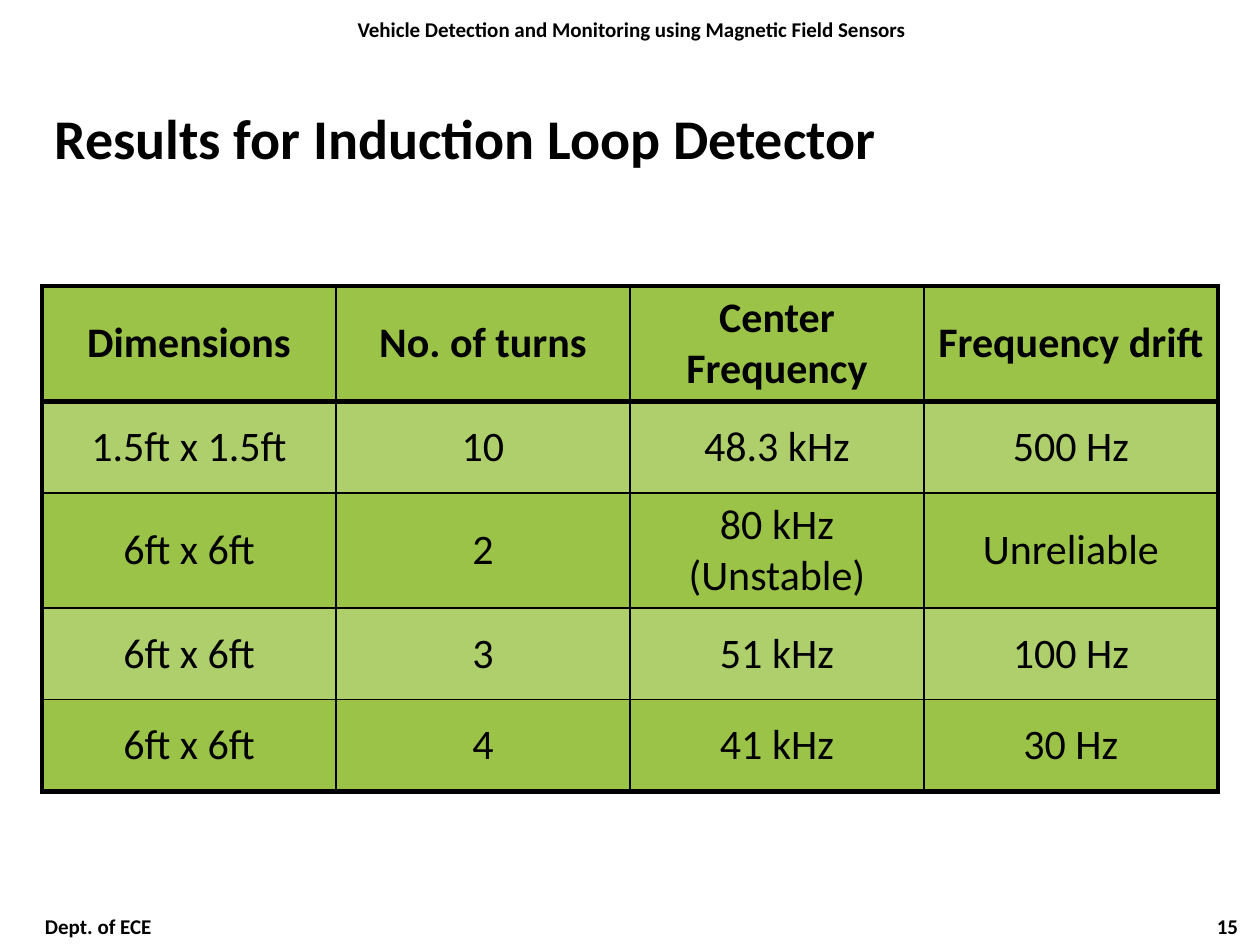
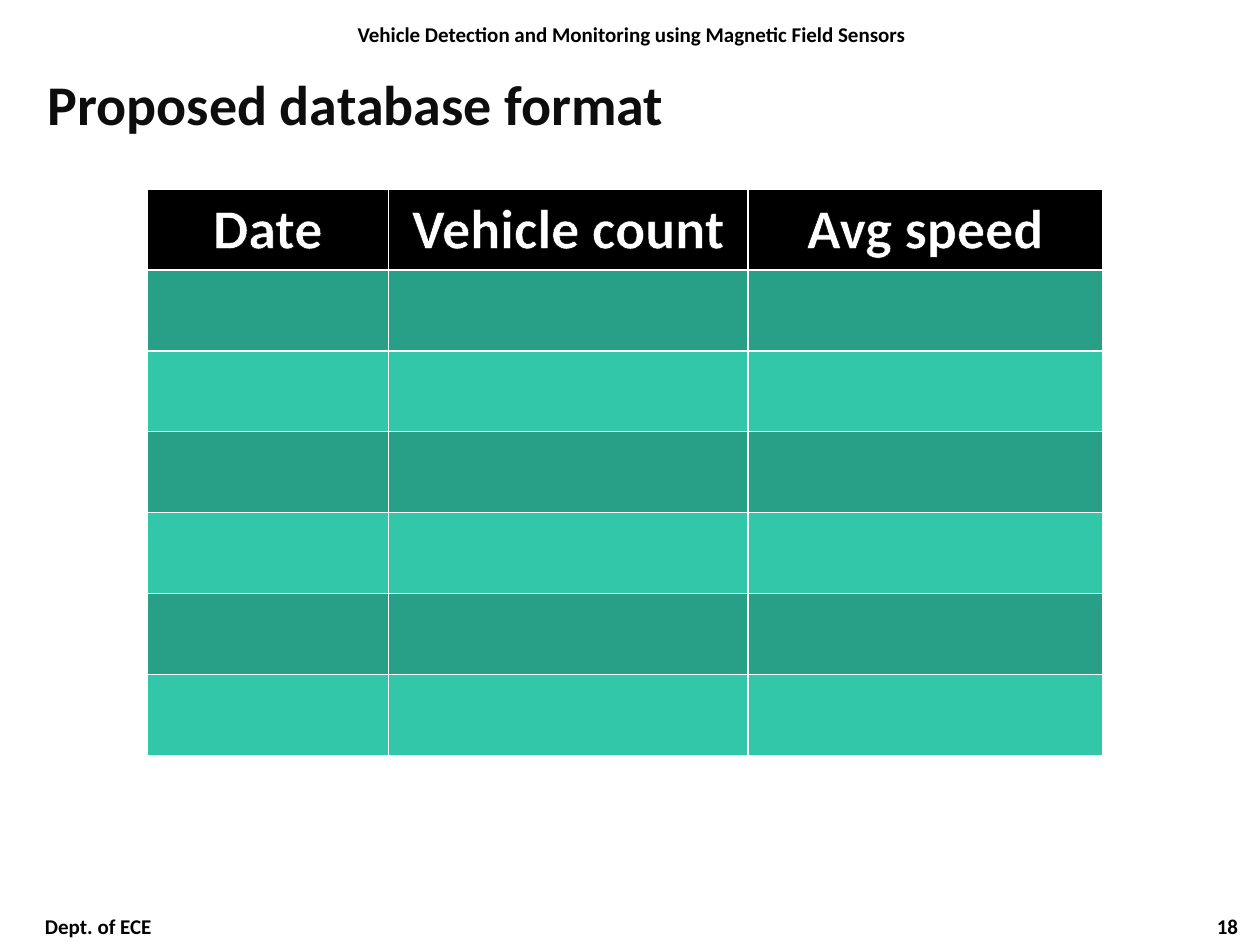
from dataclasses import dataclass

from lxml.etree import SubElement
from pptx import Presentation
from pptx.dml.color import RGBColor
from pptx.enum.text import MSO_ANCHOR, PP_ALIGN
from pptx.oxml.ns import qn
from pptx.util import Pt


@dataclass(frozen=True)
class Theme:
    """Colours, font and type sizes of the deck."""
    font: str = "Calibri"
    black: str = "000000"
    near_black: str = "0D0D0D"
    white: str = "FFFFFF"
    green: str = "9BC348"
    light_green: str = "AFCF6D"
    teal: str = "289F87"
    light_teal: str = "32C7A9"
    title: int = 32
    cell: int = 24
    small: int = 12
    thin: int = 1
    thick: int = 3


T = Theme()
WIDTH, HEIGHT = 720, 540
RUNNING_TITLE = "Vehicle Detection and Monitoring using Magnetic Field Sensors"
DEPARTMENT = "Dept. of ECE"


def add_run(p, text, size, color, bold=True):
    """Add one styled run to a paragraph."""
    r = p.add_run()
    r.text = text
    r.font.name, r.font.size, r.font.bold = T.font, Pt(size), bold
    r.font.color.rgb = RGBColor.from_string(color)
    return r


def add_line(parent, tag, color, width):
    """Append a solid line element to a run's or cell's properties."""
    ln = SubElement(parent, qn(tag), w=str(Pt(width)))
    fill = SubElement(ln, qn("a:solidFill"))
    SubElement(fill, qn("a:srgbClr"), val=color)
    return ln


def add_label(s, box, text, size, color=T.black, align=PP_ALIGN.LEFT,
              anchor=MSO_ANCHOR.TOP):
    """Place a one-paragraph bold text box and return its text frame."""
    tf = s.shapes.add_textbox(*map(Pt, box)).text_frame
    tf.word_wrap, tf.vertical_anchor = True, anchor
    p = tf.paragraphs[0]
    p.alignment = align
    add_run(p, text, size, color)
    return tf


def add_footer(s, box, number):
    """Place the department at the left and the page number at a right tab."""
    tf = add_label(s, box, f"{DEPARTMENT}\t{number}", T.small,
                   anchor=MSO_ANCHOR.BOTTOM)
    inset = 25.75
    tf.margin_left = Pt(inset)
    tabs = SubElement(tf.paragraphs[0]._p.get_or_add_pPr(), qn("a:tabLst"))
    SubElement(tabs, qn("a:tab"), pos=str(Pt(box[2] - 12.5 - inset)), algn="r")


def add_frame(prs, number, header_top, title, title_box, title_color):
    """Add a slide with its running header, title and footer."""
    s = prs.slides.add_slide(prs.slide_layouts[6])
    add_label(s, title_box, title, T.title, title_color)
    add_footer(s, (0, 511, WIDTH, 29), number)
    add_label(s, (193, header_top, 336, 29), RUNNING_TITLE, T.small,
              align=PP_ALIGN.CENTER)
    return s


def add_grid(s, left, top, widths, heights):
    """Add a table with the given column widths and row heights."""
    tbl = s.shapes.add_table(len(heights), len(widths), Pt(left), Pt(top),
                             Pt(sum(widths)), Pt(sum(heights))).table
    tbl.horz_banding = False
    for col, w in zip(tbl.columns, widths):
        col.width = Pt(w)
    for row, h in zip(tbl.rows, heights):
        row.height = Pt(h)
    return tbl


def style_cell(cell, fill, line, left=T.thin, right=T.thin, top=T.thin, bottom=T.thin):
    """Give a cell its borders, fill and centred layout."""
    tcPr = cell._tc.get_or_add_tcPr()
    for side, width in zip("LRTB", (left, right, top, bottom)):
        add_line(tcPr, f"a:ln{side}", line, width)
    cell.fill.solid()
    cell.fill.fore_color.rgb = RGBColor.from_string(fill)
    cell.vertical_anchor = MSO_ANCHOR.MIDDLE
    cell.text_frame.paragraphs[0].alignment = PP_ALIGN.CENTER


def add_results_table(s, left, top, rows):
    """Place the boxed green table, with heavy outer and header lines."""
    one_line, two_lines = 52.4, 65.8
    heights = [two_lines, one_line, two_lines, one_line, one_line]
    tbl = add_grid(s, left, top, [168] * 4, heights)
    last_row, last_col = len(rows) - 1, len(rows[0]) - 1

    def weight(heavy):
        return T.thick if heavy else T.thin

    for i, row in enumerate(rows):
        for j, text in enumerate(row):
            cell = tbl.cell(i, j)
            style_cell(cell, T.light_green if i % 2 else T.green, T.black,
                       left=weight(j == 0), right=weight(j == last_col),
                       top=weight(i <= 1), bottom=weight(i in (0, last_row)))
            add_run(cell.text_frame.paragraphs[0], text, T.cell, T.black, i == 0)


def add_database_table(s, left, top, headings, blank_rows):
    """Place the table with a black heading row and blank teal rows."""
    tbl = add_grid(s, left, top, [138, 205.5, 202.5], [46.25] * (blank_rows + 1))
    for i in range(blank_rows + 1):
        fill = T.black if i == 0 else T.teal if i % 2 else T.light_teal
        for j in range(len(headings)):
            style_cell(tbl.cell(i, j), fill, T.white)
    for j, text in enumerate(headings):
        p = tbl.cell(0, j).text_frame.paragraphs[0]
        rPr = add_run(p, text, T.title, T.white)._r.get_or_add_rPr()
        rPr.insert(0, add_line(rPr, "a:ln", T.black, 0.75))


def results_slide(prs):
    """Build the induction loop results slide."""
    s = add_frame(prs, 15, 6, "Results for Induction Loop Detector",
                  (24, 55.5, 678, 48), T.black)
    add_results_table(s, 24, 163.5, [
        ("Dimensions", "No. of turns", "Center Frequency", "Frequency drift"),
        ("1.5ft x 1.5ft", "10", "48.3 kHz", "500 Hz"),
        ("6ft x 6ft", "2", "80 kHz (Unstable)", "Unreliable"),
        ("6ft x 6ft", "3", "51 kHz", "100 Hz"),
        ("6ft x 6ft", "4", "41 kHz", "30 Hz"),
    ])


def database_slide(prs):
    """Build the proposed database format slide."""
    s = add_frame(prs, 18, 8.5, "Proposed database format",
                  (20, 36, 459, 49), T.near_black)
    add_database_table(s, 84, 108, ("Date", "Vehicle count", "Avg speed"), 6)


prs = Presentation()
prs.slide_width, prs.slide_height = Pt(WIDTH), Pt(HEIGHT)
results_slide(prs)
database_slide(prs)
prs.save("out.pptx")
